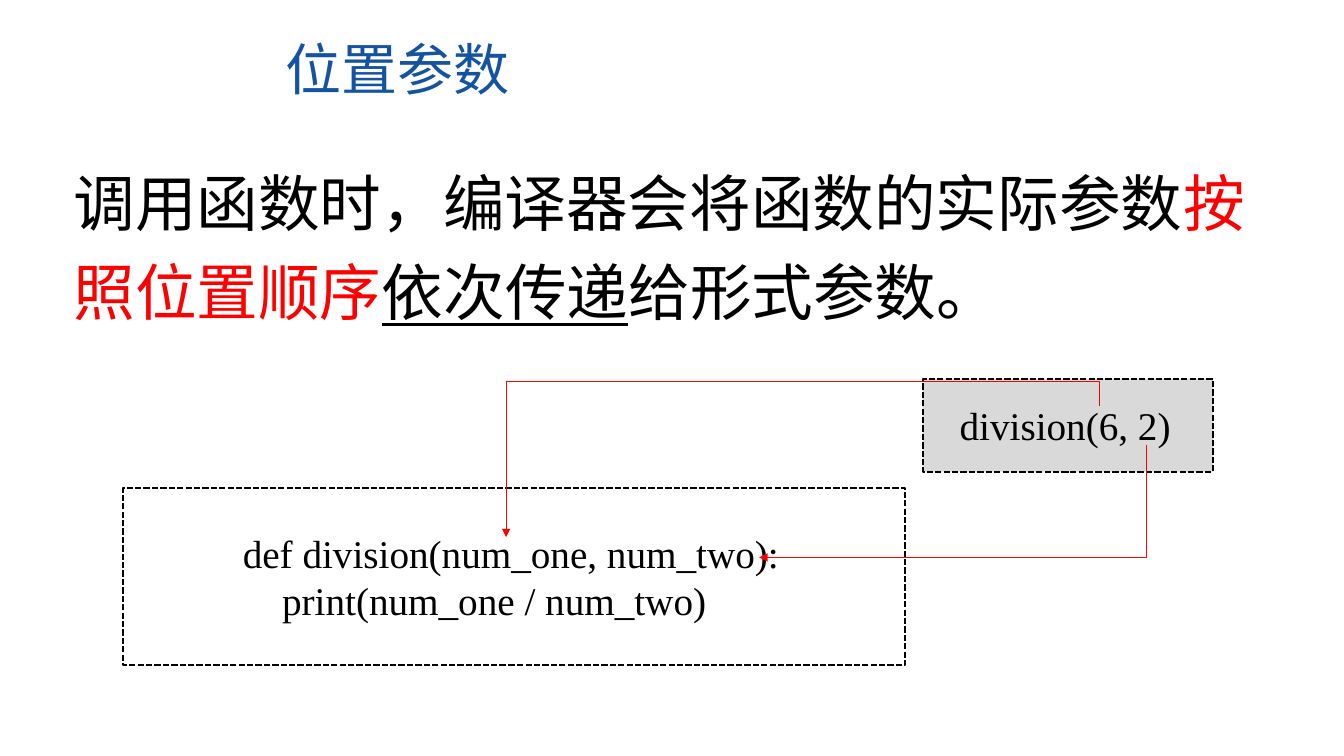
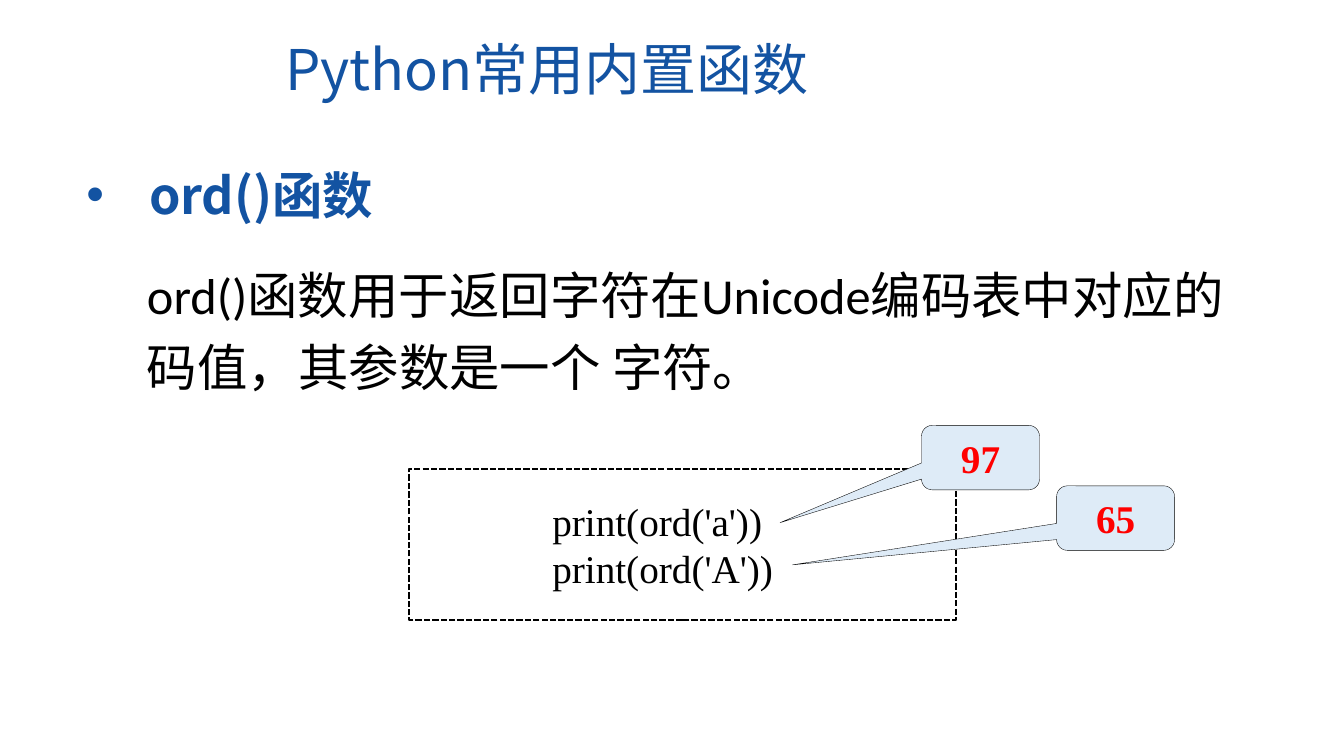
"""Two lecture slides on Python positional arguments and the ord() function."""
from dataclasses import dataclass

from lxml.etree import SubElement
from pptx import Presentation
from pptx.dml.color import RGBColor
from pptx.enum.dml import MSO_LINE
from pptx.enum.shapes import MSO_CONNECTOR, MSO_SHAPE
from pptx.enum.text import MSO_ANCHOR, PP_ALIGN
from pptx.oxml.ns import qn
from pptx.util import Inches, Pt


@dataclass(frozen=True)
class Theme:
    blue: str = "1353A2"
    black: str = "000000"
    red: str = "FF0000"
    gray: str = "D9D9D9"
    pale: str = "DEEBF7"
    cjk: str = "Noto Sans CJK SC"
    latin: str = "Calibri"
    code: str = "Times New Roman"
    title_size: int = 40
    lead_size: int = 44
    body_size: int = 36
    code_size: int = 28


T = Theme()

POSITION_TITLE = "位置参数"
POSITION_TEXT = [
    ("调用函数时，编译器会将函数的实际参数", {}),
    ("按照位置顺序", {"color": T.red}),
    ("依次传递", {"underline": True}),
    ("给形式参数。", {}),
]
DEFINITION = ["def division(num_one, num_two):", "print(num_one / num_two)"]
CALL = ["division(6, 2)"]
ARGUMENT_ARROWS = [
    ((10.9, 4.03), (5.02, 5.33), 270, -0.192),
    ((11.37, 4.41), (7.53, 5.53), 90, None),
]

BUILTIN_TITLE = "Python常用内置函数"
ORD_HEADING = "ord()函数"
ORD_TEXT = "ord()函数用于返回字符在Unicode编码表中对应的码值，其参数是一个 字符。"
ORD_CODE = ["print(ord('a'))", "print(ord('A'))"]
ORD_RESULTS = [
    ("97", (9.14, 4.22), (-1.699, 1.008, 0.167)),
    ("65", (10.48, 4.82), (-2.738, 0.725, 0.167)),
]


def rgb(color):
    return RGBColor.from_string(color)


def write(tf, paragraphs, size=T.code_size, font=T.code, color=T.black, bold=False,
          spacing=None, align=None, indents=(), bullet=None):
    """Fill a text frame; a paragraph is a string or a list of (text, format) runs."""
    tf.word_wrap = True
    for i, runs in enumerate(paragraphs):
        p = tf.paragraphs[0] if i == 0 else tf.add_paragraph()
        p.alignment = align
        p.line_spacing = spacing
        pPr = p._p.get_or_add_pPr()
        if i < len(indents):
            left, first = indents[i]
            pPr.set("marL", str(Inches(left)))
            pPr.set("indent", str(Inches(first)))
        if bullet:
            SubElement(pPr, qn("a:buFont")).set("typeface", "Arial")
            SubElement(pPr, qn("a:buChar")).set("char", bullet)
        for text, style in [(runs, {})] if isinstance(runs, str) else runs:
            r = p.add_run()
            r.text = text
            r.font.size = Pt(size)
            r.font.name = font
            r.font.bold = bold
            r.font.underline = style.get("underline", False)
            r.font.color.rgb = rgb(style.get("color", color))
            SubElement(r._r.get_or_add_rPr(), qn("a:ea")).set("typeface", T.cjk)


def add_text(s, at, paragraphs, **style):
    write(s.shapes.add_textbox(*map(Inches, at)).text_frame, paragraphs, **style)


def add_box(s, kind, at, fill=None, width=1.5, dash=None):
    sp = s.shapes.add_shape(kind, *map(Inches, at))
    sp.shadow.inherit = False
    if fill:
        sp.fill.solid()
        sp.fill.fore_color.rgb = rgb(fill)
    else:
        sp.fill.background()
    sp.line.color.rgb = rgb(T.black)
    sp.line.width = Pt(width)
    sp.line.dash_style = dash
    return sp


def add_code(s, box, text_at, lines, fill=None, indents=()):
    add_box(s, MSO_SHAPE.RECTANGLE, box, fill, dash=MSO_LINE.SQUARE_DOT)
    add_text(s, text_at, lines, indents=indents)


def add_elbow(s, start, end, rotation, bend):
    """Draw an arrow that leaves vertically, as an elbow turned by a quarter."""
    (x1, y1), (x2, y2) = start, end
    cx, cy = (x1 + x2) / 2, (y1 + y2) / 2
    turn = 1 if rotation == 90 else -1
    dx, dy = turn * (y1 - cy), -turn * (x1 - cx)
    corners = (cx + dx, cy + dy, cx - dx, cy - dy)
    c = s.shapes.add_connector(MSO_CONNECTOR.ELBOW, *map(Inches, corners))
    c.line.color.rgb = rgb(T.red)
    c.line.width = Pt(0.5)
    spPr = c._element.spPr
    spPr.find(qn("a:xfrm")).set("rot", str(rotation * 60000))
    geom = spPr.find(qn("a:prstGeom"))
    if bend is None:
        geom.set("prst", "bentConnector2")
    else:
        guide = SubElement(geom.find(qn("a:avLst")), qn("a:gd"))
        guide.set("name", "adj1")
        guide.set("fmla", f"val {round(bend * 100000)}")
    SubElement(spPr.find(qn("a:ln")), qn("a:tailEnd")).set("type", "triangle")
    SubElement(spPr, qn("a:effectLst"))


def add_callout(s, text, corner, adjustments):
    sp = add_box(s, MSO_SHAPE.ROUNDED_RECTANGULAR_CALLOUT, (*corner, 1.17, 0.64),
                 T.pale, width=0.25)
    for i, value in enumerate(adjustments):
        sp.adjustments[i] = value
    sp.text_frame.vertical_anchor = MSO_ANCHOR.MIDDLE
    write(sp.text_frame, [text], color=T.red, bold=True, align=PP_ALIGN.CENTER)


def new_slide(prs, title):
    s = prs.slides.add_slide(prs.slide_layouts[6])
    add_text(s, (2.73, 0.29, 5.88, 0.77), [title], size=T.title_size, font=T.cjk,
             color=T.blue)
    return s


def position_slide(prs):
    s = new_slide(prs, POSITION_TITLE)
    add_text(s, (0.63, 1.44, 12.29, 1.88), [POSITION_TEXT], size=T.lead_size,
             font=T.cjk, spacing=1.2)
    add_code(s, (1.22, 4.84, 7.76, 1.76), (2.31, 5.2, 5.7, 1.04), DEFINITION,
             indents=[(0, 0), (0.39, 0)])
    add_code(s, (9.15, 3.76, 2.88, 0.92), (9.42, 3.93, 2.34, 0.57), CALL, fill=T.gray)
    for arrow in ARGUMENT_ARROWS:
        add_elbow(s, *arrow)


def builtin_slide(prs):
    s = new_slide(prs, BUILTIN_TITLE)
    add_text(s, (1.36, 2.45, 11, 1.56), [ORD_TEXT], size=T.body_size, font=T.latin,
             spacing=1.2)
    add_text(s, (0.76, 1.58, 8, 0.71), [ORD_HEADING], size=T.body_size, font=T.cjk,
             color=T.blue, bold=True, indents=[(0.62, -0.62)], bullet="•")
    add_code(s, (4.06, 4.65, 5.42, 1.5), (5.38, 4.88, 2.78, 1.04), ORD_CODE)
    for result in ORD_RESULTS:
        add_callout(s, *result)


def main():
    prs = Presentation()
    prs.slide_width, prs.slide_height = Inches(13.33), Inches(7.5)
    position_slide(prs)
    builtin_slide(prs)
    prs.save("out.pptx")


if __name__ == "__main__":
    main()
